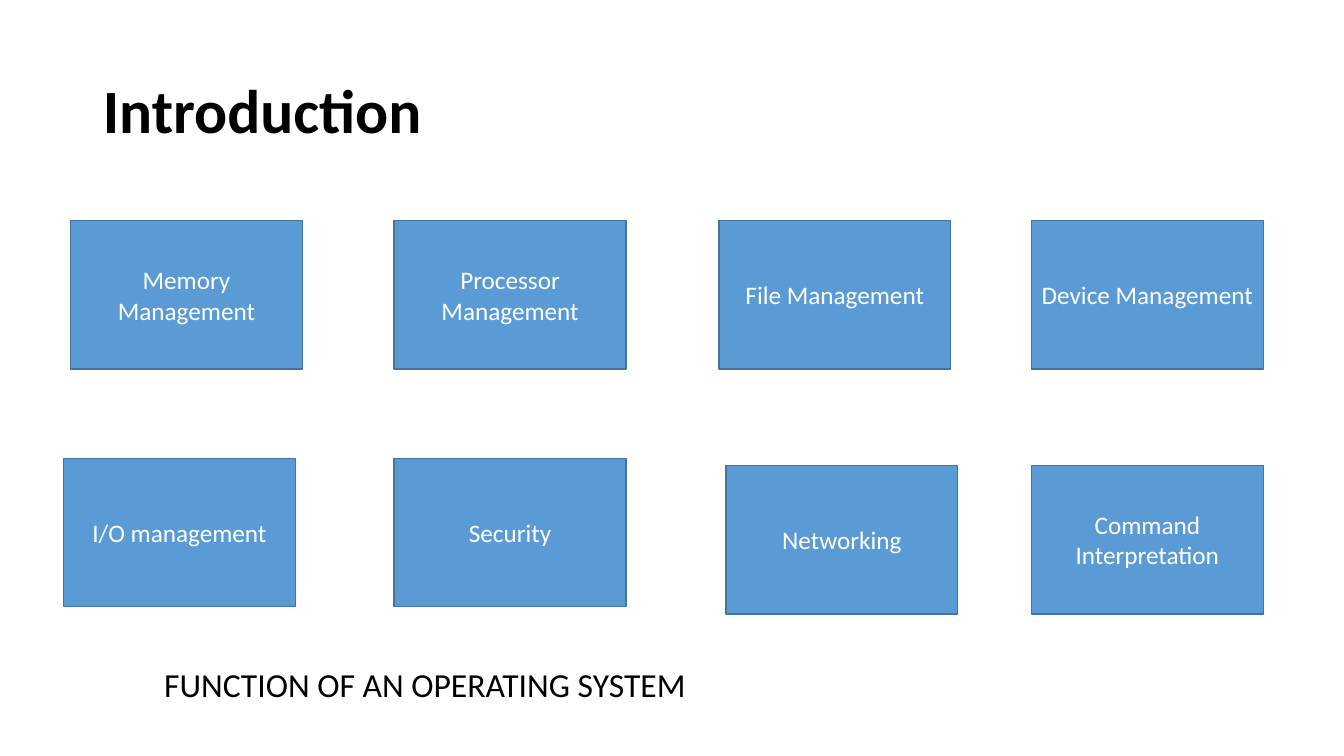
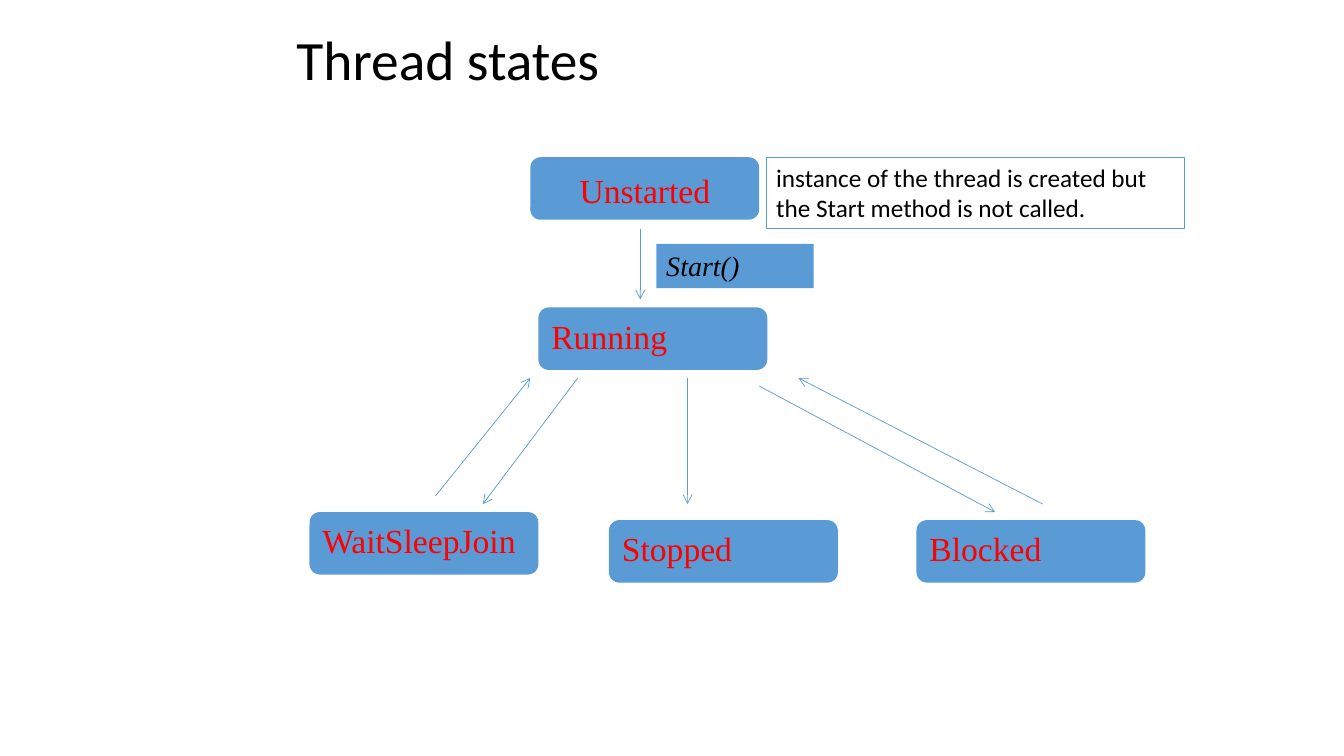
from lxml import etree
from pptx import Presentation
from pptx.dml.color import RGBColor
from pptx.enum.shapes import MSO_CONNECTOR, MSO_SHAPE
from pptx.enum.text import MSO_ANCHOR, MSO_AUTO_SIZE, PP_ALIGN
from pptx.oxml.ns import qn
from pptx.util import Inches, Pt

RECT, ROUND = MSO_SHAPE.RECTANGLE, MSO_SHAPE.ROUNDED_RECTANGLE
STRAIGHT = MSO_CONNECTOR.STRAIGHT
TOP, MIDDLE = MSO_ANCHOR.TOP, MSO_ANCHOR.MIDDLE
LEFT, CENTER = PP_ALIGN.LEFT, PP_ALIGN.CENTER

BLUE = RGBColor(0x5B, 0x9B, 0xD5)
EDGE = RGBColor(0x43, 0x73, 0x9E)
RED = RGBColor(0xFF, 0, 0)
BLACK = RGBColor(0, 0, 0)
WHITE = RGBColor(0xFF, 0xFF, 0xFF)
SANS, SERIF = "Calibri", "Times New Roman"

# Function grid: column lefts, row tops and box size
COLS = (0.7, 3.91, 7.13, 10.23)
ROWS = (2.19, 4.55)
FUNCTION_SIZE = (2.3, 1.47)
NUDGE = 0.07
FUNCTIONS = [  # name, column, row, steps right, steps down
    ("Memory Management", 0, 0, 0, 0),
    ("Processor Management", 1, 0, 0, 0),
    ("File Management", 2, 0, 0, 0),
    ("Device Management", 3, 0, 0, 0),
    ("I/O management", 0, 1, -1, 0),
    ("Security", 1, 1, 0, 0),
    ("Networking", 2, 1, 1, 1),
    ("Command Interpretation", 3, 1, 0, 1),
]

# Thread diagram: state corners and transition ends
STATE_SIZE = (2.27, 0.62)
STATES = [
    ("", 5.26, 1.56),  # its name sits in a label of its own
    ("Running", 5.34, 3.05),
    ("WaitSleepJoin", 3.07, 5.08),
    ("Stopped", 6.04, 5.16),
    ("Blocked", 9.09, 5.16),
]
TRANSITIONS = [
    (6.35, 2.27, 6.35, 2.97),
    (5.73, 3.75, 4.79, 5),
    (6.82, 3.75, 6.82, 5),
    (7.53, 3.83, 9.87, 5.08),
    (4.32, 4.92, 5.26, 3.75),
    (10.34, 5, 7.92, 3.75),
]


def write(sp, text, size, color, font=SANS, align=LEFT, anchor=TOP,
          bold=False, italic=False):
    tf = sp.text_frame
    tf.word_wrap = True
    tf.auto_size = MSO_AUTO_SIZE.NONE
    tf.vertical_anchor = anchor
    p = tf.paragraphs[0]
    p.alignment = align
    r = p.add_run()
    r.text = text
    f = r.font
    f.name, f.size, f.bold, f.italic = font, Pt(size), bold, italic
    f.color.rgb = color
    return p


def add_slide(prs, title, box, size, bold=False):
    s = prs.slides.add_slide(prs.slide_layouts[5])
    sp = s.shapes.title
    sp.left, sp.top, sp.width, sp.height = map(Inches, box)
    p = write(sp, title, size, BLACK, anchor=MIDDLE, bold=bold)
    p.line_spacing = 0.9
    return s


def add_box(s, kind, box, fill=BLUE, line=None):
    sp = s.shapes.add_shape(kind, *map(Inches, box))
    sp.shadow.inherit = False
    sp.fill.solid()
    sp.fill.fore_color.rgb = fill
    if line is None:
        sp.line.fill.background()
    else:
        sp.line.color.rgb = line
        sp.line.width = Pt(1)
    return sp


def add_arrow(s, ends):
    c = s.shapes.add_connector(STRAIGHT, *map(Inches, ends))
    c.line.color.rgb = BLUE
    c.line.width = Pt(0.5)
    etree.SubElement(c.line._get_or_add_ln(), qn("a:tailEnd"), type="arrow")
    etree.SubElement(c._element.spPr, qn("a:effectLst"))


def build_introduction(prs):
    s = add_slide(prs, "Introduction", (0.92, 0.4, 11.5, 1.45), 44, bold=True)
    for name, col, row, right, down in FUNCTIONS:
        corner = (COLS[col] + right * NUDGE, ROWS[row] + down * NUDGE)
        sp = add_box(s, RECT, corner + FUNCTION_SIZE, line=EDGE)
        write(sp, name, 18, WHITE, align=CENTER, anchor=MIDDLE)
    caption = s.shapes.add_textbox(*map(Inches, (1.26, 6.54, 5.91, 0.5)))
    write(caption, "FUNCTION OF AN OPERATING SYSTEM", 24, BLACK, align=CENTER)


def build_thread_states(prs):
    s = add_slide(prs, "Thread states", (2.84, 0, 8.5, 1.25), 39.6)

    # States
    for name, left, top in STATES:
        sp = add_box(s, ROUND, (left, top) + STATE_SIZE)
        if name:
            write(sp, name, 24, RED, SERIF)

    # Labels and note
    unstarted = add_box(s, RECT, (5.65, 1.64, 1.56, 0.51))
    write(unstarted, "Unstarted", 24, RED, SERIF)
    start = add_box(s, RECT, (6.51, 2.42, 1.56, 0.44))
    write(start, "Start()", 20, BLACK, SERIF, italic=True)
    note = add_box(s, RECT, (7.6, 1.56, 4.15, 0.71), WHITE, BLUE)
    write(note, "instance of the thread is created but the Start method "
          "is not called.", 18, BLACK)

    # Transitions
    for ends in TRANSITIONS:
        add_arrow(s, ends)


def main():
    prs = Presentation()
    prs.slide_width, prs.slide_height = Inches(13.33), Inches(7.5)
    build_introduction(prs)
    build_thread_states(prs)
    prs.save("out.pptx")


main()
